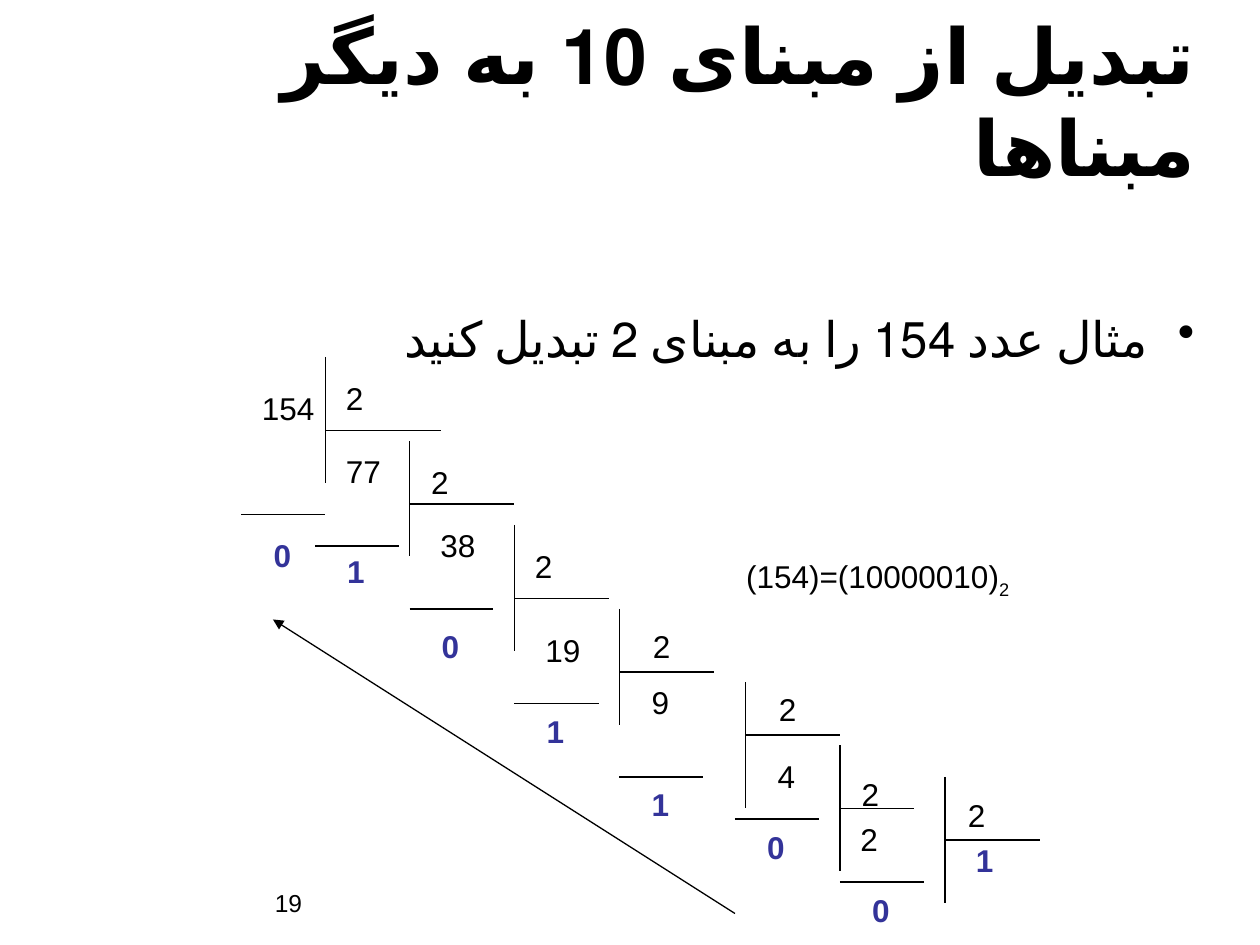
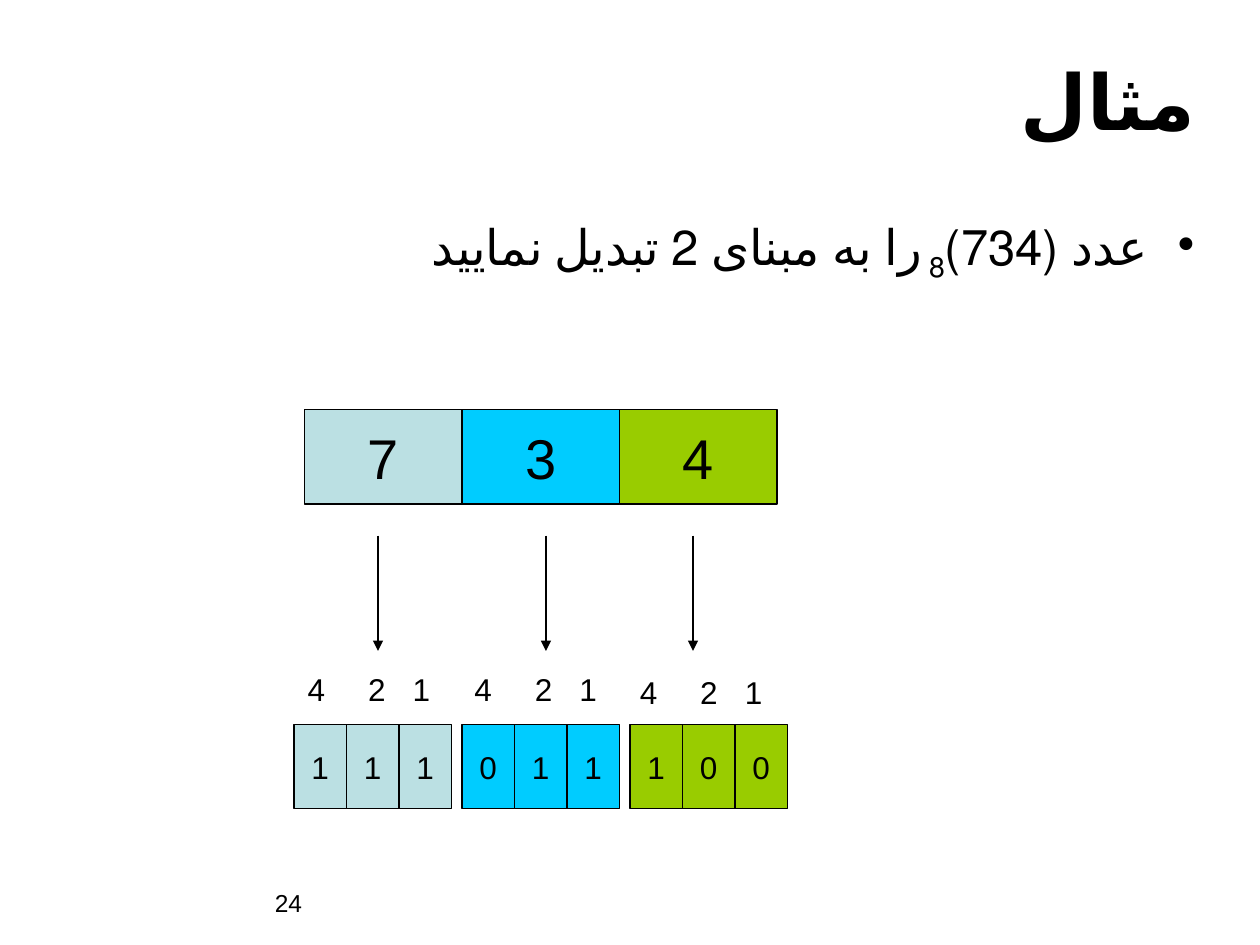
from dataclasses import dataclass
from lxml.etree import SubElement
from pptx import Presentation
from pptx.dml.color import RGBColor
from pptx.enum.shapes import MSO_CONNECTOR, MSO_SHAPE
from pptx.enum.text import MSO_ANCHOR, MSO_AUTO_SIZE, PP_ALIGN
from pptx.oxml.ns import qn
from pptx.util import Emu, Pt


@dataclass(frozen=True)
class Theme:
    font: str = "Arial"
    ink: str = "000000"
    remainder: str = "333399"
    digit_fills: tuple = ("BBE0E3", "00CCFF", "99CC00")
    title: int = 44
    digit: int = 32
    body: int = 28
    label: int = 18
    footer: int = 14
    line: float = 0.75


theme = Theme()
PX = 9525


def add_text(slide, box, pieces, size=theme.label, color=theme.ink, bold=False,
             fill=None, rtl=False, wrap=False, middle=False):
    bounds = [Emu(length * PX) for length in box]
    if fill:
        shape = slide.shapes.add_shape(MSO_SHAPE.RECTANGLE, *bounds)
        shape.shadow.inherit = False
        shape.fill.solid()
        shape.fill.fore_color.rgb = RGBColor.from_string(fill)
        shape.line.color.rgb = RGBColor.from_string(theme.ink)
        shape.line.width = Pt(theme.line)
    else:
        shape = slide.shapes.add_textbox(*bounds)
    frame = shape.text_frame
    frame.word_wrap = wrap
    if not fill and not wrap:
        frame.auto_size = MSO_AUTO_SIZE.SHAPE_TO_FIT_TEXT
    frame.vertical_anchor = MSO_ANCHOR.MIDDLE if middle or fill else MSO_ANCHOR.TOP
    paragraph = frame.paragraphs[0]
    paragraph.text = pieces[0]
    paragraph.alignment = PP_ALIGN.CENTER if fill else PP_ALIGN.RIGHT if rtl else PP_ALIGN.LEFT
    if rtl:
        paragraph._p.get_or_add_pPr().set("rtl", "1")
    for piece in pieces[1:]:
        paragraph.add_run().text = piece
    for index, run in enumerate(paragraph.runs):
        run.font.name = theme.font
        run.font.size = Pt(size)
        run.font.bold = bold
        run.font.color.rgb = RGBColor.from_string(color)
        properties = run._r.get_or_add_rPr()
        if rtl:
            properties.set("lang", "fa-IR")
        if index % 2:
            properties.set("baseline", "-25000")
    return paragraph


def add_line(slide, x1, y1, x2, y2, arrow=False):
    ends = [Emu(length * PX) for length in (x1, y1, x2, y2)]
    connector = slide.shapes.add_connector(MSO_CONNECTOR.STRAIGHT, *ends)
    connector.line.color.rgb = RGBColor.from_string(theme.ink)
    connector.line.width = Pt(theme.line)
    if arrow:
        SubElement(connector.line._get_or_add_ln(), qn("a:tailEnd"), type="triangle")
    SubElement(connector._element.spPr, qn("a:effectLst"))


presentation = Presentation()
presentation.slide_width = Emu(960 * PX)
presentation.slide_height = Emu(720 * PX)

pages = [
    ("19", "تبدیل از مبنای 10 به دیگر مبناها", 230,
     ["مثال عدد 154 را به مبنای 2 تبدیل کنید"]),
    ("24", "مثال", 160,
     ["عدد (734)", "8 ", "را به مبنای 2 تبدیل نمایید"]),
]
slides = []
for number, title, body_top, body in pages:
    slide = presentation.slides.add_slide(presentation.slide_layouts[6])
    slides.append(slide)
    add_text(slide, (200, 672, 144, 48), [number], theme.footer, wrap=True)
    add_text(slide, (184, 32, 736, 88), [title], theme.title, bold=True,
             rtl=True, wrap=True, middle=True)
    paragraph = add_text(slide, (184, body_top, 736, 61), body, theme.body,
                         rtl=True, wrap=True)
    paragraph.space_before = Pt(7)
    properties = paragraph._p.get_or_add_pPr()
    properties.set("marL", "342900")
    properties.set("indent", "-342900")
    SubElement(properties, qn("a:buChar"), char="•")

division_slide, octal_slide = slides

add_text(division_slide, (190, 292, 59, 38), ["154"])
divisions = [
    (248, 272, 368, 328, 336, (254, 284), "77", (254, 340)),
    (312, 336, 424, 384, 392, (319, 348), "38", (326, 396)),
    (392, 400, 496, 456, 464, (398, 412), "19", (406, 476)),
    (472, 464, 552, 512, 544, (488, 473), "9", (487, 516)),
    (568, 520, 616, 560, 640, (584, 521), "4", (583, 572)),
    (640, 568, 664, 616, 696, (647, 586), "2", (646, 620)),
    (720, 592, 688, 640, 792, (728, 602), "1", (734, 636)),
]
for x, top, bottom, bar, bar_end, divisor_at, quotient, quotient_at in divisions:
    add_line(division_slide, x, top, x, bottom)
    add_line(division_slide, x, bar, bar_end, bar)
    add_text(division_slide, (*divisor_at, 33, 38), ["2"])
    last = quotient == "1"
    add_text(division_slide, (*quotient_at, 20 + 13 * len(quotient), 38), [quotient],
             color=theme.remainder if last else theme.ink, bold=last)

remainders = [
    (184, 392, 404, "0"), (240, 416, 416, "1"), (312, 464, 473, "0"),
    (392, 536, 538, "1"), (472, 592, 593, "1"), (560, 624, 626, "0"),
    (640, 672, 674, "0"),
]
for x, rule, top, remainder in remainders:
    add_line(division_slide, x, rule, x + 64, rule)
    add_text(division_slide, (x + 15, top, 33, 38), [remainder],
             color=theme.remainder, bold=True)
add_line(division_slide, 560, 696, 208, 472, arrow=True)
add_text(division_slide, (559, 420, 220, 42), ["(154)=(10000010)", "2"])

octal_digits = [
    ("7", "111", 288, (225, 506)),
    ("3", "011", 416, (352, 506)),
    ("4", "100", 528, (478, 508)),
]
for index, (digit, bits, arrow_x, weights_at) in enumerate(octal_digits):
    fill = theme.digit_fills[index]
    add_text(octal_slide, (232 + 120 * index, 312, 120, 72), [digit], theme.digit, fill=fill)
    for position, bit in enumerate(bits):
        add_text(octal_slide, (224 + 128 * index + 40 * position, 552, 40, 64), [bit], fill=fill)
    weights = add_text(octal_slide, (*weights_at, 120, 38), ["4\t2\t1"], wrap=True)
    tab_list = SubElement(weights._p.get_or_add_pPr(), qn("a:tabLst"))
    for stop in (46, 80):
        SubElement(tab_list, qn("a:tab"), pos=str(stop * PX), algn="l")
    add_line(octal_slide, arrow_x, 408, arrow_x, 496, arrow=True)

presentation.save("out.pptx")
